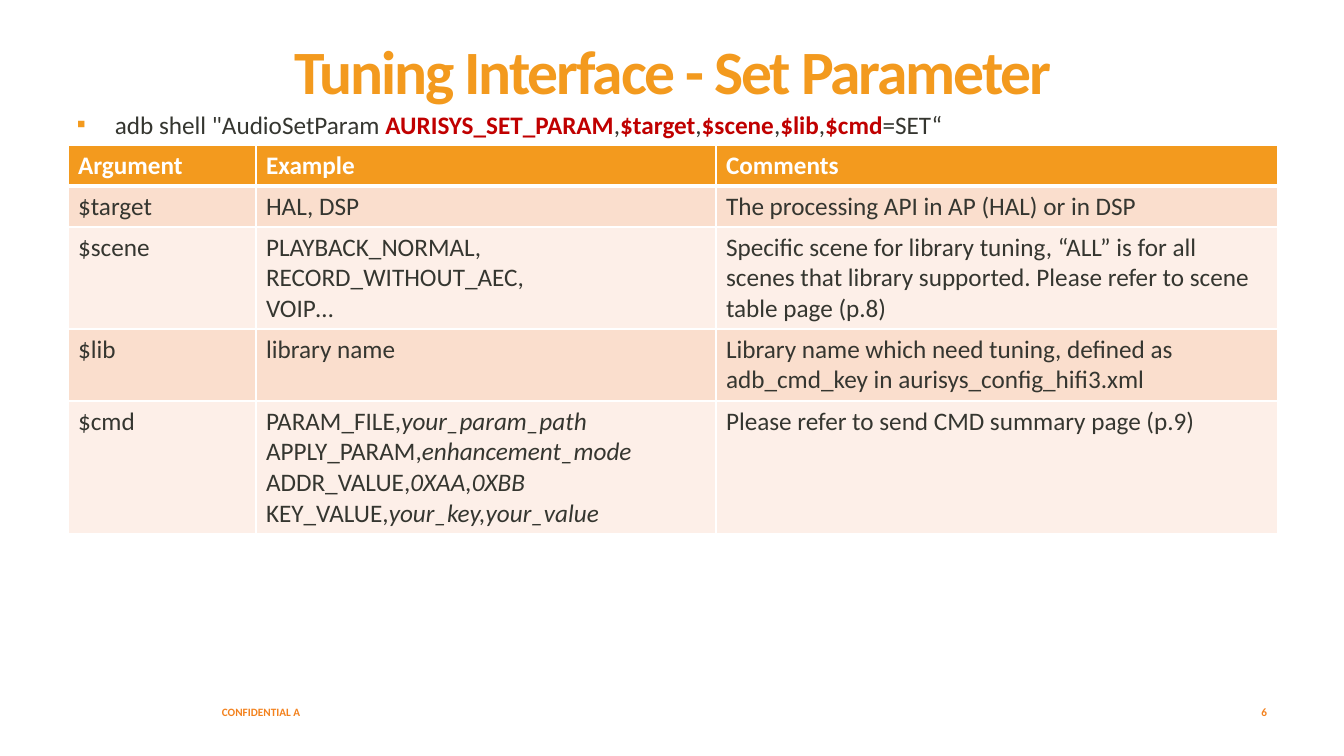
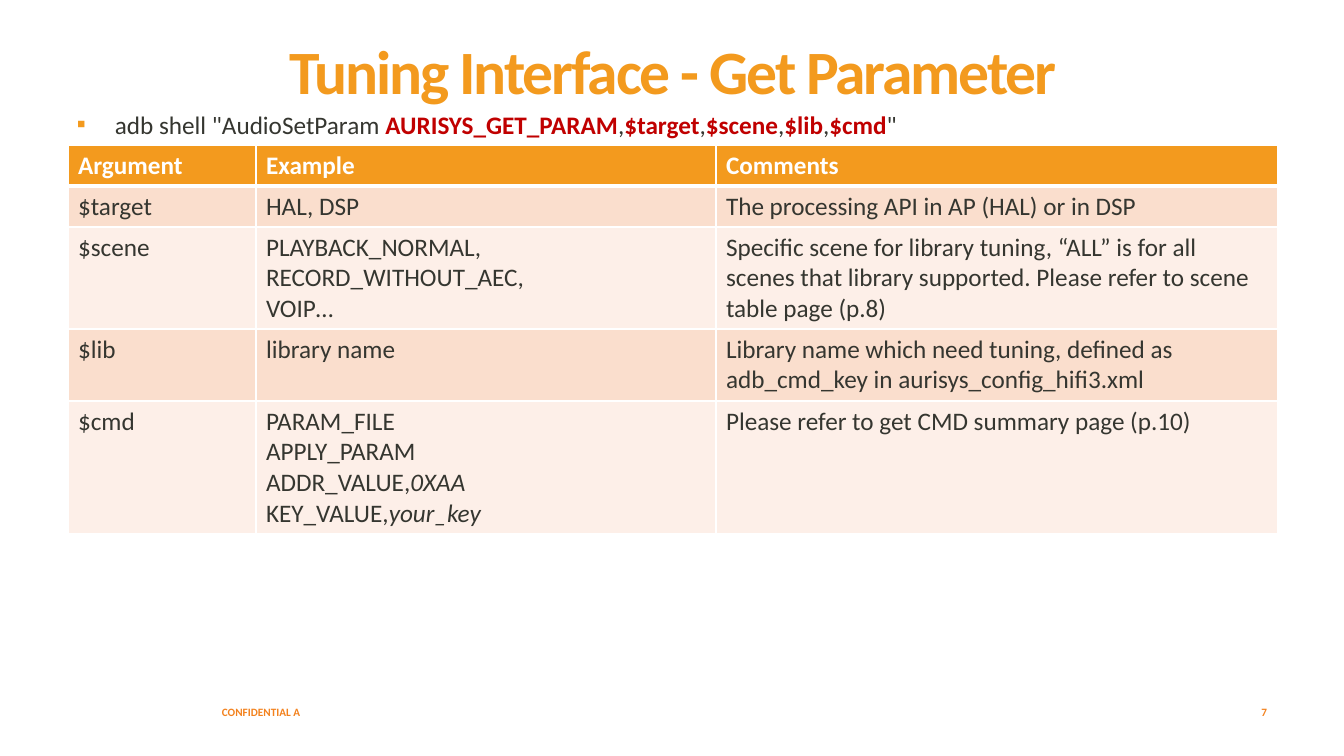
"""Builds the two tuning interface slides: set parameter and get parameter."""
from lxml import etree
from pptx import Presentation, util as u
from pptx.dml.color import RGBColor
from pptx.enum import text
from pptx.oxml.ns import qn

PX = 914400 / 100.8
ORANGE = RGBColor(0xF3, 0x9A, 0x1E)
FOOTER_ORANGE = RGBColor(0xF3, 0x82, 0x1E)
DARK = RGBColor(0x35, 0x36, 0x30)
RED = RGBColor(0xC0, 0x00, 0x00)
WHITE = RGBColor(0xFF, 0xFF, 0xFF)
BANDS = [RGBColor(0xFD, 0xEF, 0xE8), RGBColor(0xFA, 0xDE, 0xCD)]

BASE = {"name": "Calibri", "size": u.Pt(18), "bold": False, "italic": False, "color": DARK}
TITLE = BASE | {"size": u.Pt(44), "bold": True, "color": ORANGE}
HEADER = BASE | {"bold": True, "color": WHITE}
FOOTER = BASE | {"size": u.Pt(8), "bold": True, "color": FOOTER_ORANGE}
KEYWORD = BASE | {"bold": True, "color": RED}
ITALIC = BASE | {"italic": True}

COLUMN_WIDTHS = [188, 460, 562]
ROW_HEIGHTS = [41, 41, 102, 72, 133]
LEFT, WIDTH = 68, 1210
ARGUMENTS = "|,|$target|,|$scene|,|$lib|,|$cmd|"
SHARED_ROWS = [
    ["Argument", "Example", "Comments"],
    ["$target", "HAL, DSP", "The processing API in AP (HAL) or in DSP"],
    ["$scene", "PLAYBACK_NORMAL, RECORD_WITHOUT_AEC,\nVOIP…",
     "Specific scene for library tuning, “ALL” is for all scenes that library supported. "
     "Please refer to scene table page (p.8)"],
    ["$lib", "library name",
     "Library name which need tuning, defined as adb_cmd_key in aurisys_config_hifi3.xml"],
]
PAGES = [
    {"number": "6", "title": "Tuning Interface - Set Parameter",
     "command": 'adb shell "AudioSetParam |AURISYS_SET_PARAM' + ARGUMENTS + "=SET“",
     "examples": "PARAM_FILE,|your_param_path\nAPPLY_PARAM,|enhancement_mode\n"
                 "ADDR_VALUE,|0XAA,0XBB\nKEY_VALUE,|your_key,your_value",
     "comment": "Please refer to send CMD summary page (p.9)"},
    {"number": "7", "title": "Tuning Interface - Get Parameter",
     "command": 'adb shell "AudioSetParam |AURISYS_GET_PARAM' + ARGUMENTS + '"',
     "examples": "PARAM_FILE\nAPPLY_PARAM\nADDR_VALUE,|0XAA\nKEY_VALUE,|your_key",
     "comment": "Please refer to get CMD summary page (p.10)"},
]


def box(*lengths):
    return [u.Emu(round(length * PX)) for length in lengths]


def write(frame, marked_text, plain, marked=None, align=text.PP_ALIGN.LEFT):
    """Fill a frame line by line; every second part between bars takes the marked format."""
    frame.word_wrap = True
    for line_index, line in enumerate(marked_text.split("\n")):
        paragraph = frame.add_paragraph() if line_index else frame.paragraphs[0]
        paragraph.alignment = align
        for part_index, part in enumerate(line.split("|")):
            run = paragraph.add_run()
            run.text = part
            for name, value in (marked if part_index % 2 else plain).items():
                if name == "color":
                    run.font.color.rgb = value
                else:
                    setattr(run.font, name, value)


presentation = Presentation()
presentation.slide_width, presentation.slide_height = box(1344, 756)

for page in PAGES:
    slide = presentation.slides.add_slide(presentation.slide_layouts[5])

    title = slide.shapes.title
    title.left, title.top, title.width, title.height = box(LEFT, 47, WIDTH, 68)
    frame = title.text_frame
    frame.margin_top = 0
    frame.vertical_anchor = text.MSO_ANCHOR.TOP
    frame.auto_size = text.MSO_AUTO_SIZE.NONE
    write(frame, page["title"], TITLE, align=text.PP_ALIGN.CENTER)
    frame.paragraphs[0].line_spacing = 0.8
    frame.paragraphs[0].runs[0].font._element.set("spc", "-150")

    command = slide.shapes.add_textbox(*box(67, 104, WIDTH, 42)).text_frame
    properties = command.paragraphs[0]._p.get_or_add_pPr()
    indent = box(38)[0]
    properties.set("marL", str(indent))
    properties.set("indent", str(-indent))
    bullet_color = etree.SubElement(properties, qn("a:buClr"))
    etree.SubElement(bullet_color, qn("a:srgbClr"), val=str(ORANGE))
    etree.SubElement(properties, qn("a:buFont"), typeface="Calibri")
    etree.SubElement(properties, qn("a:buChar"), char="▪")
    write(command, page["command"], BASE, KEYWORD)

    rows = SHARED_ROWS + [["$cmd", page["examples"], page["comment"]]]
    table = slide.shapes.add_table(
        len(rows), len(COLUMN_WIDTHS), *box(LEFT, 145, WIDTH, sum(ROW_HEIGHTS))).table
    for column, width in zip(table.columns, box(*COLUMN_WIDTHS)):
        column.width = width
    for row_index, (row, height) in enumerate(zip(rows, box(*ROW_HEIGHTS))):
        table.rows[row_index].height = height
        borders = {"lnL": 1, "lnR": 1, "lnT": 3 if row_index == 1 else 1,
                   "lnB": 1 if row_index else 3}
        for column_index, content in enumerate(row):
            cell = table.cell(row_index, column_index)
            write(cell.text_frame, content, BASE if row_index else HEADER, ITALIC)
            cell_properties = cell._tc.get_or_add_tcPr()
            for side, points in borders.items():
                line = etree.SubElement(cell_properties, qn("a:" + side), w=str(u.Pt(points)))
                fill = etree.SubElement(line, qn("a:solidFill"))
                etree.SubElement(fill, qn("a:srgbClr"), val=str(WHITE))
            cell.fill.solid()
            cell.fill.fore_color.rgb = BANDS[row_index % 2] if row_index else ORANGE

    for label, left, width, align in [
        ("CONFIDENTIAL A", 212, 237, text.PP_ALIGN.LEFT),
        (page["number"], 1121, 156, text.PP_ALIGN.RIGHT),
    ]:
        footer = slide.shapes.add_textbox(*box(left, 692, width, 40)).text_frame
        footer.vertical_anchor = text.MSO_ANCHOR.MIDDLE
        write(footer, label, FOOTER, align=align)

presentation.save("out.pptx")
